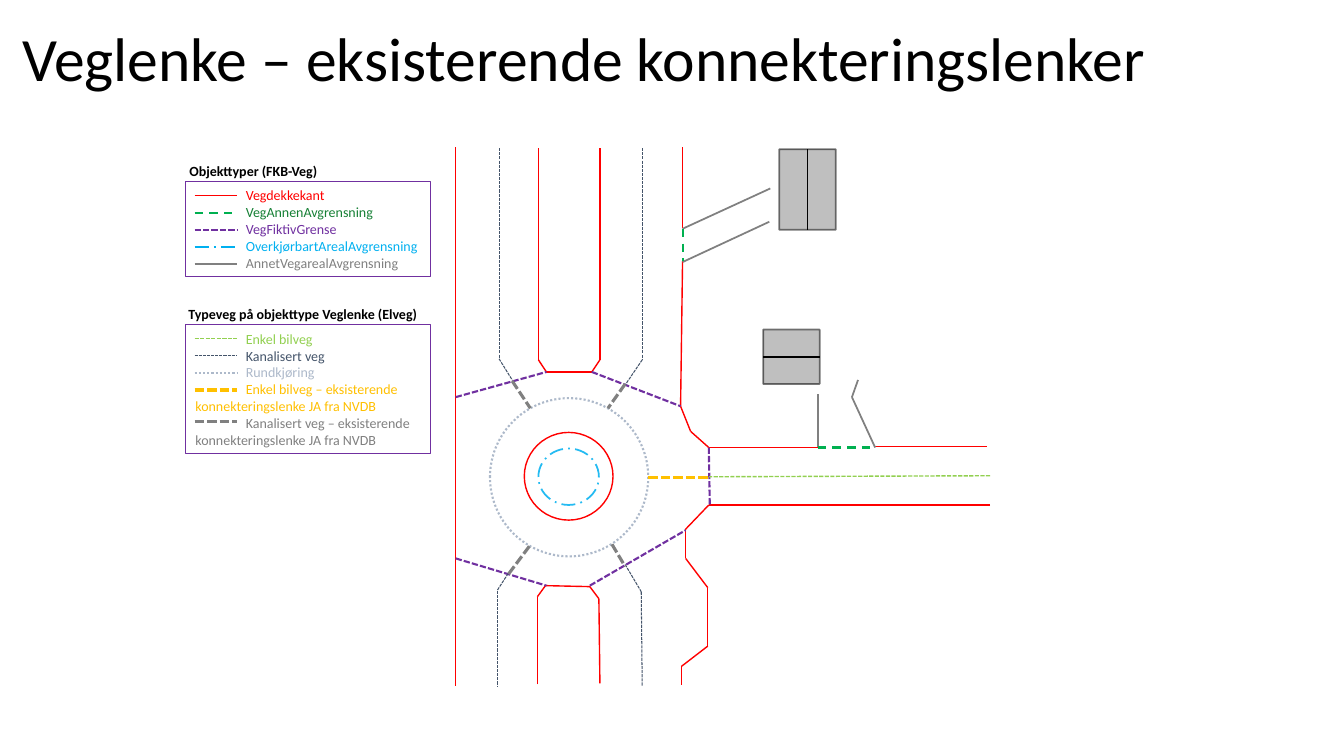
from itertools import pairwise

from lxml import etree
from pptx import Presentation, util as u
from pptx.dml.color import RGBColor
from pptx.enum import dml, shapes, text
from pptx.oxml import ns

DASH = dml.MSO_LINE.DASH
SHORT_DASH = dml.MSO_LINE.SQUARE_DOT
DOT = dml.MSO_LINE.ROUND_DOT
DASH_DOT = dml.MSO_LINE.LONG_DASH_DOT

STYLES = {
    "pavement edge": ("FF0000", 1, None),
    "other boundary": ("00B050", 1.5, DASH),
    "fictive boundary": ("7030A0", 1.5, SHORT_DASH),
    "overrun area": ("00B0F0", 1.25, DASH_DOT),
    "other road area": ("808080", 1.25, None),
    "single road": ("92D050", 1, SHORT_DASH),
    "channelled road": ("44546A", 0.75, SHORT_DASH),
    "roundabout": ("ADB9CA", 1.5, DOT),
    "single connector": ("FFC000", 2.25, SHORT_DASH),
    "channelled connector": ("808080", 2.25, SHORT_DASH),
    "frame": ("7030A0", 0.75, None),
    "house": ("000000", 1.25, None),
}


def paint(item, style, opacity=100):
    color, width, dash = STYLES[style]
    item.line.color.rgb = RGBColor.from_string(color)
    item.line.width = u.Pt(width)
    if dash:
        item.line.dash_style = dash
    if opacity < 100:
        line_color = item._element.xpath(".//a:ln//a:srgbClr")[0]
        etree.SubElement(line_color, ns.qn("a:alpha")).set("val", str(opacity * 1000))
    etree.SubElement(item._element.spPr, ns.qn("a:effectLst"))


def add_line(style, start, end):
    ends = [u.Inches(value) for value in (*start, *end)]
    connector = slide.shapes.add_connector(shapes.MSO_CONNECTOR.STRAIGHT, *ends)
    paint(connector, style)
    return connector


presentation = Presentation()
presentation.slide_width, presentation.slide_height = u.Inches(13.33), u.Inches(7.5)
slide = presentation.slides.add_slide(presentation.slide_layouts[5])

title = slide.shapes.title
title.left, title.top, title.width, title.height = map(u.Inches, (0.12, 0.14, 11.5, 0.94))
title.text_frame.text = "Veglenke – eksisterende konnekteringslenker"
title.text_frame.vertical_anchor = text.MSO_ANCHOR.MIDDLE
paragraph = title.text_frame.paragraphs[0]
paragraph.alignment = text.PP_ALIGN.LEFT
paragraph.line_spacing = 0.9
paragraph.font.size = u.Pt(44)
paragraph.font.name = "Calibri"
paragraph.font.color.rgb = RGBColor.from_string("000000")

legends = [
    ("Objekttyper (FKB-Veg)", 1.78, 1.56, 1.8, 0.94, [
        ("Vegdekkekant", "FF0000", "pavement edge", 0),
        ("VegAnnenAvgrensning", "168035", "other boundary", 1),
        ("VegFiktivGrense", "7030A0", "fictive boundary", 2),
        ("OverkjørbartArealAvgrensning", "00B0F0", "overrun area", 3),
        ("AnnetVegarealAvgrensning", "808080", "other road area", 4),
    ]),
    ("Typeveg på objekttype Veglenke (Elveg)", 1.77, 2.98, 3.22, 1.28, [
        ("Enkel bilveg", "92D050", "single road", 0),
        ("Kanalisert veg", "44546A", "channelled road", 1),
        ("Rundkjøring", "ADB9CA", "roundabout", 2),
        ("Enkel bilveg – eksisterende konnekteringslenke JA fra NVDB",
         "FFC000", "single connector", 3),
        ("Kanalisert veg – eksisterende konnekteringslenke JA fra NVDB",
         "808080", "channelled connector", 4.83),
    ]),
]
for heading, heading_left, heading_top, top, height, entries in legends:
    label = slide.shapes.add_textbox(*map(u.Inches, (heading_left, heading_top, 2.5, 0.27)))
    label.text_frame.word_wrap = True
    label.text_frame.text = heading
    font = label.text_frame.paragraphs[0].font
    font.size, font.name, font.bold = u.Pt(10), "Calibri", True
    font.color.rgb = RGBColor.from_string("000000")

    frame = slide.shapes.add_shape(
        shapes.MSO_SHAPE.RECTANGLE, *map(u.Inches, (1.84, top, 2.43, height)))
    frame.fill.background()
    paint(frame, "frame")
    frame.text_frame.word_wrap = True
    frame.text_frame.text = "\n".join(entry[0] for entry in entries)
    for paragraph, (_, color, style, row) in zip(frame.text_frame.paragraphs, entries):
        paragraph.alignment = text.PP_ALIGN.LEFT
        properties = paragraph._p.get_or_add_pPr()
        properties.set("marL", "0")
        properties.set("indent", str(u.Inches(0.5)))
        paragraph.font.size = u.Pt(10)
        paragraph.font.name = "Calibri"
        paragraph.font.color.rgb = RGBColor.from_string(color)
        middle = top + 0.14 + 0.17 * row
        add_line(style, (1.93, middle), (2.35, middle))

circles = [
    ("overrun area", 5.34, 4.45, 0.6, 0.56, 85),
    ("pavement edge", 5.2, 4.29, 0.88, 0.87, 100),
    ("roundabout", 4.86, 3.95, 1.57, 1.57, 100),
]
for style, *box, opacity in circles:
    circle = slide.shapes.add_shape(shapes.MSO_SHAPE.OVAL, *map(u.Inches, box))
    circle.fill.background()
    paint(circle, style, opacity)

routes = [
    ("pavement edge", [(4.52, 1.46), (4.52, 6.81)]),
    ("pavement edge", [(6.77, 1.46), (6.77, 2.26)]),
    ("pavement edge", [(6.77, 2.59), (6.75, 4.03), (6.85, 4.28), (7.03, 4.44), (8.11, 4.44)]),
    ("pavement edge", [(8.68, 4.43), (9.79, 4.43)]),
    ("pavement edge", [(9.82, 5.01), (7.03, 5.01), (6.8, 5.25), (6.8, 5.54), (7.02, 5.83),
                       (7.02, 6.41), (6.76, 6.61), (6.76, 6.8)]),
    ("pavement edge", [(5.34, 1.47), (5.34, 3.57), (5.42, 3.69), (5.87, 3.69), (5.95, 3.57),
                       (5.95, 1.47)]),
    ("pavement edge", [(5.33, 6.79), (5.33, 5.92), (5.41, 5.81), (5.85, 5.82), (5.94, 5.94),
                       (5.95, 6.78)]),
    ("other road area", [(8.11, 3.91), (8.11, 4.43)]),
    ("other road area", [(8.51, 3.77), (8.45, 3.94), (8.68, 4.44)]),
    ("other road area", [(6.77, 2.27), (7.64, 1.87)]),
    ("other road area", [(6.77, 2.6), (7.63, 2.2)]),
    ("other boundary", [(8.11, 4.44), (8.68, 4.44)]),
    ("other boundary", [(6.77, 2.27), (6.77, 2.59)]),
    ("fictive boundary", [(7.03, 4.44), (7.04, 5.01)]),
    ("fictive boundary", [(5.87, 3.69), (6.75, 4.03)]),
    ("fictive boundary", [(4.52, 3.94), (5.42, 3.69)]),
    ("fictive boundary", [(4.52, 5.54), (5.42, 5.81)]),
    ("fictive boundary", [(5.85, 5.81), (6.8, 5.26)]),
    ("single road", [(9.82, 4.72), (7.03, 4.73)]),
    ("channelled road", [(4.95, 1.47), (4.95, 3.56), (5.08, 3.77)]),
    ("channelled road", [(6.37, 1.47), (6.37, 3.57), (6.2, 3.82)]),
    ("channelled road", [(5.04, 5.69), (4.93, 5.86), (4.93, 6.81)]),
    ("channelled road", [(6.2, 5.6), (6.36, 5.87), (6.37, 6.81)]),
    ("channelled connector", [(6.07, 5.4), (6.2, 5.62)]),
    ("channelled connector", [(5.08, 3.78), (5.26, 4.05)]),
    ("channelled connector", [(6.2, 3.81), (6.03, 4.05)]),
    ("channelled connector", [(5.25, 5.42), (5.04, 5.7)]),
    ("single connector", [(6.43, 4.74), (7.03, 4.74)]),
]
for style, points in routes:
    for start, end in pairwise(points):
        add_line(style, start, end)

houses = [
    ((7.73, 1.48, 0.56, 0.8), (8.01, 1.48), (8.01, 2.28), 0, 2),
    ((7.57, 3.27, 0.56, 0.54), (7.57, 3.54), (8.13, 3.54), 1, 3),
]
for box, ridge_start, ridge_end, start_side, end_side in houses:
    house = slide.shapes.add_shape(shapes.MSO_SHAPE.RECTANGLE, *map(u.Inches, box))
    house.fill.solid()
    house.fill.fore_color.rgb = RGBColor.from_string("BFBFBF")
    paint(house, "house", 52)
    ridge = add_line("house", ridge_start, ridge_end)
    ridge.begin_connect(house, start_side)
    ridge.end_connect(house, end_side)

presentation.save("out.pptx")
